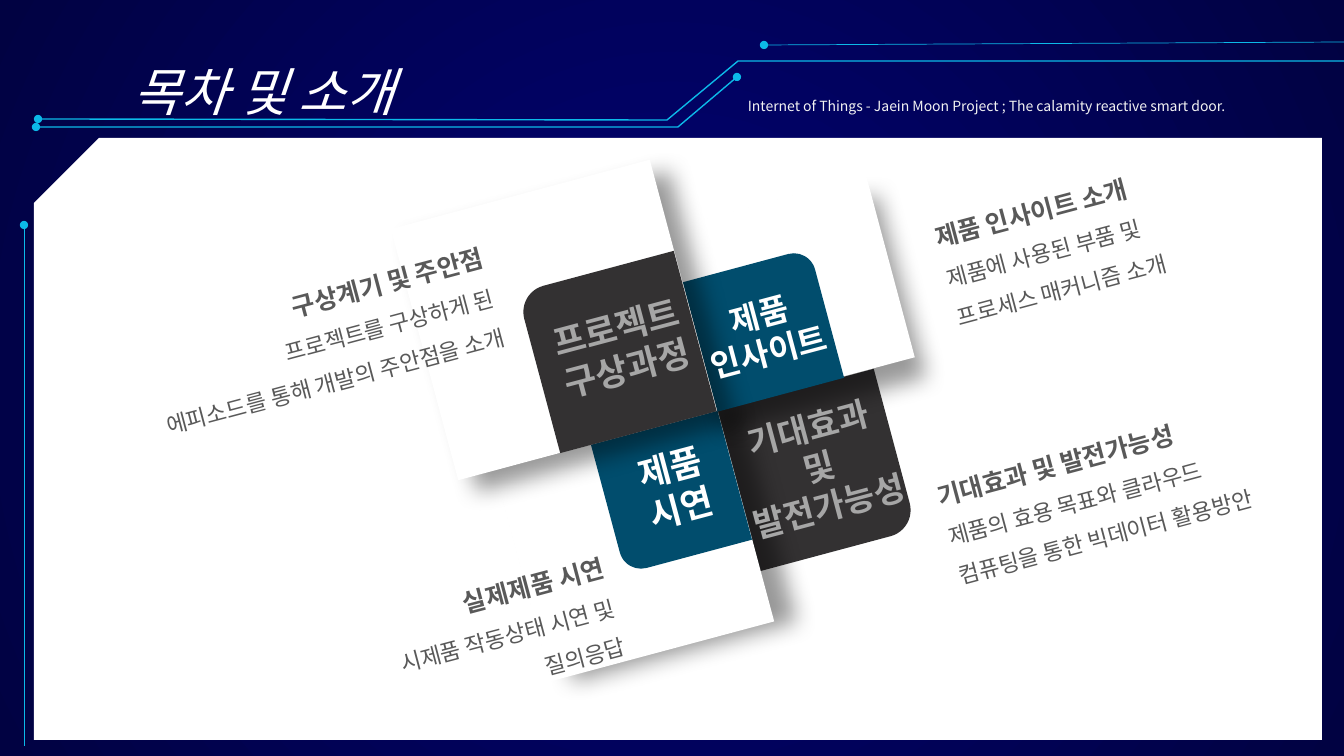
import pptx
import pptx.util
import pptx.dml.color
import pptx.enum.shapes
import pptx.enum.text
import pptx.oxml
from pptx.oxml.ns import qn
from lxml import etree

PX = 914400 / 100.8
FONT = "Noto Sans CJK KR"
TILT = 345
COLORS = {
    "center": "010276", "edge": "010242", "cyan": "0CB9E8", "white": "FFFFFF",
    "pale": "F2F2F2", "charcoal": "333132", "teal": "014D6D",
    "body": "595959", "silver": "A6A6A6",
}
SHAPE = pptx.enum.shapes.MSO_SHAPE
ALIGN = {"l": pptx.enum.text.PP_ALIGN.LEFT, "c": pptx.enum.text.PP_ALIGN.CENTER,
         "r": pptx.enum.text.PP_ALIGN.RIGHT}
RGB = {k: pptx.dml.color.RGBColor.from_string(v) for k, v in COLORS.items()}


def style_trace(sp, width, *ends):
    """Colour a circuit line and put a dot on each of the given ends."""
    sp.line.color.rgb = RGB["cyan"]
    sp.line.width = pptx.util.Pt(width)
    ln = sp._element.spPr.find(qn("a:ln"))
    for end in ends:
        etree.SubElement(ln, qn("a:" + end), type="oval")


def add_text(box, lines, align="l", spacing=1.0, rotation=0, wrap=True):
    """Add a text box; each line is (text, size, colour, bold)."""
    sp = s.shapes.add_textbox(*(round(v * PX) for v in box))
    sp.rotation = rotation
    tf = sp.text_frame
    tf.word_wrap = wrap
    tf.auto_size = pptx.enum.text.MSO_AUTO_SIZE.SHAPE_TO_FIT_TEXT
    for i, (text, size, color, bold) in enumerate(lines):
        p = tf.add_paragraph() if i else tf.paragraphs[0]
        p.text = text
        p.alignment = ALIGN[align]
        p.line_spacing = spacing
        p.font.size = pptx.util.Pt(size)
        p.font.bold = bold
        p.font.color.rgb = RGB[color]
        p.font.name = FONT
        etree.SubElement(p._p.pPr.find(qn("a:defRPr")), qn("a:ea"), typeface=FONT)
    return tf


prs = pptx.Presentation()
prs.slide_width = round(1344 * PX)
prs.slide_height = round(756 * PX)
s = prs.slides.add_slide(prs.slide_layouts[6])

# Radial background
fill = s.background.fill
fill.gradient()
for stop, name in zip(fill.gradient_stops, ("center", "edge")):
    stop.color.rgb = RGB[name]
grad = s._element.find(".//" + qn("a:gradFill"))
grad.remove(grad.find(qn("a:lin")))
radial = etree.SubElement(grad, qn("a:path"), path="circle")
etree.SubElement(radial, qn("a:fillToRect"), l="50000", t="50000", r="50000", b="50000")

# Circuit lines
for points, ends in (
    ([(36, 127), (678, 127), (737, 77)], ("headEnd", "tailEnd")),
    ([(38, 119), (667, 120), (738, 61), (1347, 61)], ("headEnd",)),
):
    builder = s.shapes.build_freeform(*points[0], scale=PX)
    builder.add_line_segments(points[1:], close=False)
    sp = builder.convert_to_shape()
    sp.fill.background()
    sp.shadow.inherit = False
    style_trace(sp, 1, *ends)
for ends in ((764, 45, 1344, 42), (24, 225, 24, 746)):
    sp = s.shapes.add_connector(pptx.enum.shapes.MSO_CONNECTOR.STRAIGHT,
                                *(round(v * PX) for v in ends))
    style_trace(sp, 0.5, "headEnd")
    etree.SubElement(sp._element.spPr, qn("a:effectLst"))

# Title and project line
tf = add_text((123, 24, 455, 103), [("목차 및 소개", 37, "white", False)], spacing=1.5)
tf.paragraphs[0].font.italic = True
add_text((738, 84, 540, 35),
         [("Internet of Things - Jaein Moon Project ; The calamity reactive smart door.",
           10, "pale", False)], spacing=1.5, wrap=False)

# White panel, then the pinwheel: (parent, shape, box, colour, flips, adjustment, tilt, shadow angle)
pinwheel_at = s.shapes
panel = (SHAPE.SNIP_1_RECTANGLE, (34, 138, 1288, 602), "white", "H", 0.108, 0, None)
tile, sheet = SHAPE.ROUND_1_RECTANGLE, SHAPE.RECTANGLE
pinwheel = [
    (tile, (736, 387, 162, 166), "charcoal", "V", 0.167, TILT, None),
    (sheet, (519, 437, 231, 218), "white", "", None, TILT, 0),
    (tile, (606, 425, 131, 134), "teal", "HV", 0.167, TILT, None),
    (sheet, (689, 199, 205, 188), "white", "", None, TILT, 60),
    (tile, (698, 263, 131, 134), "teal", "", 0.167, TILT, None),
    (sheet, (420, 190, 268, 260), "white", "", None, TILT, 30),
    (tile, (536, 269, 162, 166), "charcoal", "H", 0.167, TILT, None),
]
for kind, box, color, flips, adjustment, tilt, angle in [panel] + pinwheel:
    sp = pinwheel_at.add_shape(kind, *(round(v * PX) for v in box))
    if kind == SHAPE.SNIP_1_RECTANGLE:
        pinwheel_at = s.shapes.add_group_shape().shapes
    sp.fill.solid()
    sp.fill.fore_color.rgb = RGB[color]
    sp.line.fill.background()
    sp.shadow.inherit = False
    sp.rotation = tilt
    if adjustment is not None:
        sp.adjustments[0] = adjustment
    for axis in flips:
        sp._element.spPr.find(qn("a:xfrm")).set("flip" + axis, "1")
    if angle is not None:
        shadow = etree.SubElement(
            sp._element.spPr.find(qn("a:effectLst")), qn("a:outerShdw"),
            blurRad=str(pptx.util.Pt(16)), dist=str(pptx.util.Pt(16)),
            dir=str(angle * 60000), algn="ctr", rotWithShape="0")
        black = etree.SubElement(shadow, qn("a:srgbClr"), val="000000")
        etree.SubElement(black, qn("a:alpha"), val="40000")

# Tile labels
for box, size, color, words in (
    ((524, 300, 195, 94), 25, "silver", ["프로젝트 구상과정"]),
    ((679, 289, 170, 88), 23, "white", ["제품", "인사이트"]),
    ((590, 440, 171, 94), 25, "white", ["제품", "시연"]),
    ((710, 401, 217, 131), 24, "silver", ["기대효과", "및", "발전가능성"]),
):
    add_text(box, [(w, size, color, True) for w in words], "c", rotation=TILT)

# Descriptions
for box, align, heading, details in (
    ((72, 274, 436, 136), "r", "구상계기 및 주안점",
     ["프로젝트를 구상하게 된", "에피소드를 통해 개발의 주안점을 소개"]),
    ((928, 152, 405, 136), "l", "제품 인사이트 소개",
     ["제품에 사용된 부품 및", "프로세스 매커니즘 소개"]),
    ((931, 419, 339, 136), "l", "기대효과 및 발전가능성",
     ["제품의 효용 목표와 클라우드 컴퓨팅을 통한 빅데이터 활용방안"]),
    ((344, 564, 282, 136), "r", "실제제품 시연",
     ["시제품 작동상태 시연 및", "질의응답"]),
):
    lines = [(heading, 18, "body", True)] + [(d, 16, "body", False) for d in details]
    add_text(box, lines, align, 1.5, TILT)

prs.save("out.pptx")
